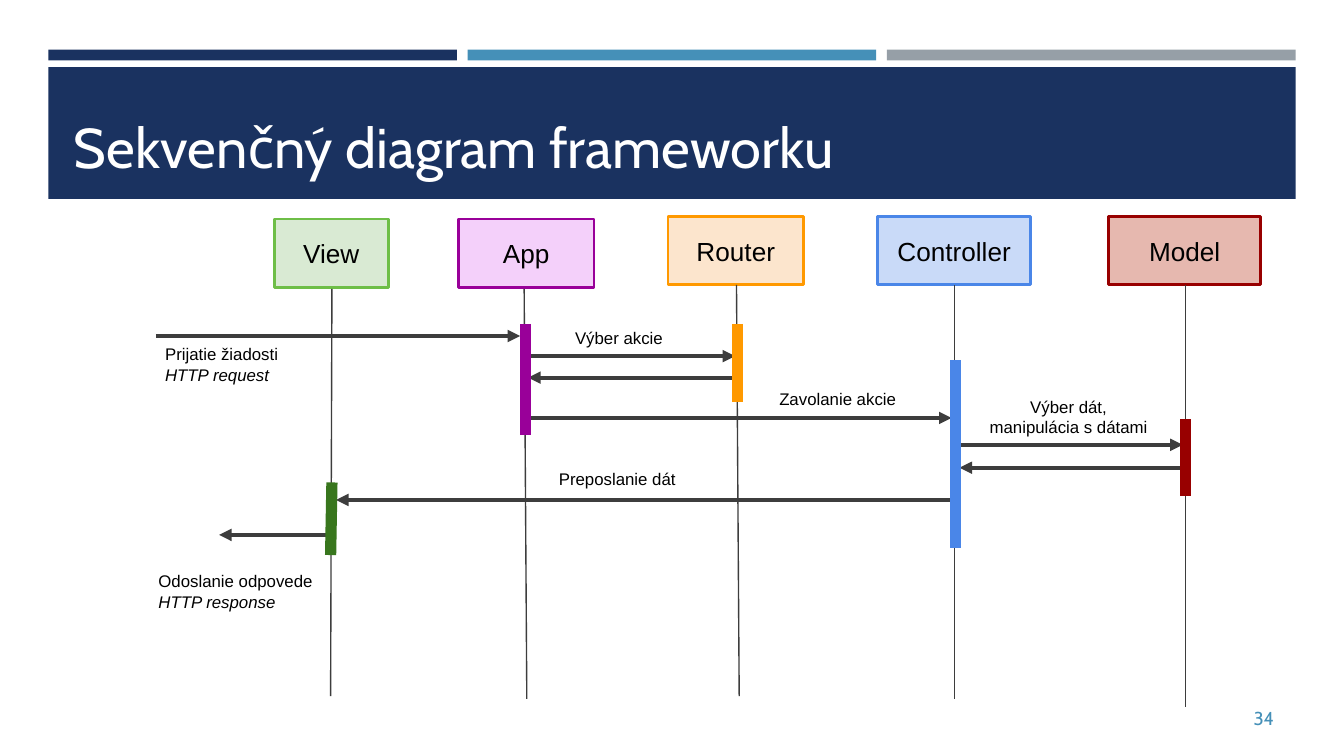
from dataclasses import dataclass

from lxml import etree
from pptx import Presentation
from pptx.dml.color import RGBColor
from pptx.enum.shapes import MSO_CONNECTOR, MSO_SHAPE
from pptx.enum.text import MSO_ANCHOR, PP_ALIGN
from pptx.oxml.ns import qn
from pptx.util import Pt

RECTANGLE = MSO_SHAPE.RECTANGLE
STRAIGHT = MSO_CONNECTOR.STRAIGHT
TOP, MIDDLE, BOTTOM = MSO_ANCHOR.TOP, MSO_ANCHOR.MIDDLE, MSO_ANCHOR.BOTTOM
LEFT, CENTER, RIGHT = PP_ALIGN.LEFT, PP_ALIGN.CENTER, PP_ALIGN.RIGHT

EMU_PER_PX = 9144  # 100 px to the inch
SLIDE_WIDTH = 1000


@dataclass(frozen=True)
class Theme:
    navy: str = "1A3260"
    blue: str = "4590B8"
    gray: str = "969FA7"
    white: str = "FFFFFF"
    black: str = "000000"
    stroke: str = "3D3D3D"
    heading_font: str = "Cabin"
    body_font: str = "Arial"
    title_size: int = 30
    participant_size: int = 14
    number_size: int = 10
    label_size: int = 9
    lifeline_width: float = 0.75
    border_width: float = 1.5
    message_width: float = 2.25
    activation_width: float = 6


THEME = Theme()

# name, left, top, width, fill, border
PARTICIPANTS = [
    ("View", 204, 163, 85, "D9EAD3", "6EBE47"),
    ("App", 341, 163, 101, "F4D0FA", "990099"),
    ("Router", 497, 161, 101, "FCE5CD", "FF9900"),
    ("Controller", 653, 161, 114, "C9DAF8", "4A86E8"),
    ("Model", 825, 161, 113, "E6B8AF", "980000"),
]
PARTICIPANT_HEIGHT = 51

# start x, start y, end x, end y
LIFELINES = [
    (247, 215, 246, 518),
    (390, 215, 392, 520),
    (548, 212, 550, 518),
    (710, 212, 710, 520),
    (882, 212, 882, 526),
]

# start x, end x, y
MESSAGES = [
    (116, 387, 250),
    (393, 547, 265),
    (548, 393, 281),
    (393, 708, 311),
    (709, 880, 331),
    (886, 714, 348),
    (710, 250, 372),
    (248, 163, 398),
]

# start x, start y, end x, end y, colour
ACTIVATIONS = [
    (247, 359, 246, 413, "38761D"),
    (391, 241, 391, 324, "990099"),
    (549, 241, 549, 299, "FF9900"),
    (711, 268, 711, 408, "4A86E8"),
    (882, 312, 882, 369, "980000"),
]

# plain text, italic text, box, alignment
LABELS = [
    ("Prijatie žiadosti", "HTTP request", (113, 246, 129, 47), LEFT),
    ("Výber akcie", "", (418, 236, 122, 47), LEFT),
    ("Zavolanie akcie", "", (570, 282, 117, 34), LEFT),
    ("Výber dát, manipulácia s dátami", "", (724, 285, 142, 47), CENTER),
    ("Preposlanie dát", "", (406, 341, 117, 34), LEFT),
    ("Odoslanie odpovede", "HTTP response", (108, 415, 135, 47), LEFT),
]


def px(*lengths):
    return [length * EMU_PER_PX for length in lengths]


def rgb(color):
    return RGBColor.from_string(color)


def write_text(shape, text, size, color, font=THEME.body_font,
               align=LEFT, anchor=TOP, insets=(10, 10)):
    """Fill a shape with text; insets are horizontal and vertical."""
    frame = shape.text_frame
    frame.text = text
    frame.word_wrap = True
    frame.vertical_anchor = anchor
    horizontal, vertical = px(*insets)
    frame.margin_left = frame.margin_right = horizontal
    frame.margin_top = frame.margin_bottom = vertical
    for paragraph in frame.paragraphs:
        paragraph.alignment = align
        for run in paragraph.runs:
            run.font.name = font
            run.font.size = Pt(size)
            run.font.color.rgb = rgb(color)
    return frame


def add_text(slide, box, *args, **options):
    return write_text(slide.shapes.add_textbox(*px(*box)), *args, **options)


def add_rectangle(slide, box, fill, border=None):
    shape = slide.shapes.add_shape(RECTANGLE, *px(*box))
    shape.shadow.inherit = False
    shape.fill.solid()
    shape.fill.fore_color.rgb = rgb(fill)
    if border:
        shape.line.color.rgb = rgb(border)
        shape.line.width = Pt(THEME.border_width)
    else:
        shape.line.fill.background()
    return shape


def add_line(slide, ends, width, color=THEME.stroke, arrow=False):
    connector = slide.shapes.add_connector(STRAIGHT, *px(*ends))
    connector.line.color.rgb = rgb(color)
    connector.line.width = Pt(width)
    if arrow:
        outline = connector.line._get_or_add_ln()
        etree.SubElement(outline, qn("a:tailEnd"), type="triangle")
    etree.SubElement(connector._element.spPr, qn("a:effectLst"))


def add_header(slide):
    for index, color in enumerate((THEME.navy, THEME.blue, THEME.gray)):
        add_rectangle(slide, (36 + 312 * index, 37, 304, 8), color)
    add_rectangle(slide, (36, 50, 928, 98), THEME.navy)
    add_text(slide, (48, 58, 905, 83), "Sekvenčný diagram frameworku",
             THEME.title_size, THEME.white, THEME.heading_font,
             anchor=BOTTOM, insets=(7, 7))


def add_participant(slide, name, left, top, width, fill, border):
    box = (left, top, width, PARTICIPANT_HEIGHT)
    shape = add_rectangle(slide, box, fill, border)
    write_text(shape, name, THEME.participant_size, THEME.black,
               align=CENTER, anchor=MIDDLE)


def add_label(slide, plain, italic, box, align):
    text = f"{plain}\n{italic}" if italic else plain
    frame = add_text(slide, box, text, THEME.label_size, THEME.black, align=align)
    for paragraph in frame.paragraphs[1:]:
        paragraph.runs[0].font.italic = True


def main():
    presentation = Presentation()
    presentation.slide_width = SLIDE_WIDTH * EMU_PER_PX
    presentation.slide_height = presentation.slide_width * 9 // 16
    slide = presentation.slides.add_slide(presentation.slide_layouts[6])

    add_header(slide)
    for participant in PARTICIPANTS:
        add_participant(slide, *participant)
    for ends in LIFELINES:
        add_line(slide, ends, THEME.lifeline_width)
    for start, end, y in MESSAGES:
        add_line(slide, (start, y, end, y), THEME.message_width, arrow=True)
    for *ends, color in ACTIVATIONS:
        add_line(slide, ends, THEME.activation_width, color)
    for label in LABELS:
        add_label(slide, *label)
    add_text(slide, (921, 519, 34, 30), "34", THEME.number_size, THEME.blue,
             THEME.heading_font, align=RIGHT, anchor=MIDDLE, insets=(7, 4))

    presentation.save("out.pptx")


if __name__ == "__main__":
    main()
